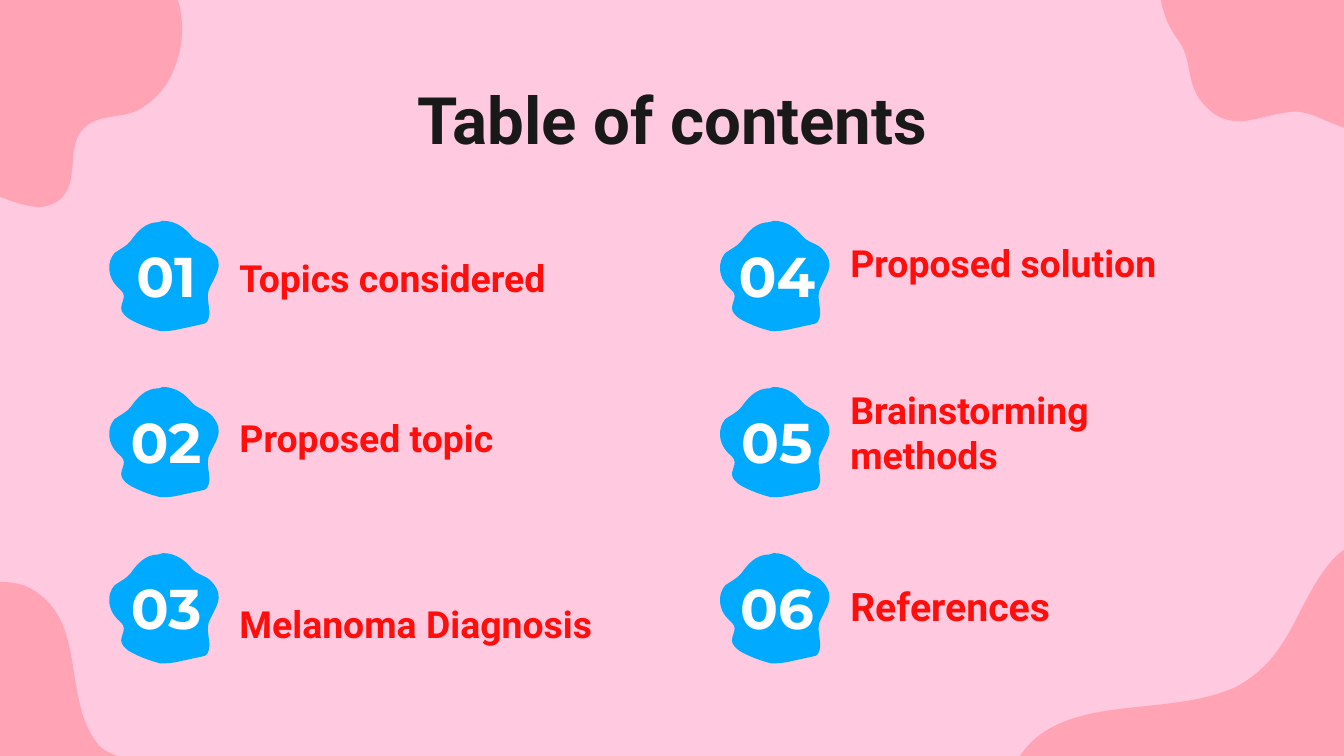
from lxml import etree
from pptx import Presentation
from pptx.dml.color import RGBColor
from pptx.enum.text import MSO_ANCHOR, PP_ALIGN
from pptx.oxml.ns import qn
from pptx.util import Pt

LEFT, CENTER = PP_ALIGN.LEFT, PP_ALIGN.CENTER
TOP, MIDDLE, BOTTOM = MSO_ANCHOR.TOP, MSO_ANCHOR.MIDDLE, MSO_ANCHOR.BOTTOM

PINK = RGBColor(0xFF, 0xC9, 0xE0)
RED = RGBColor(0xFF, 0x0E, 0x0B)
BLUE = RGBColor(0x00, 0xAB, 0xFF)
WHITE = RGBColor(0xFF, 0xFF, 0xFF)
INK = RGBColor(0x19, 0x19, 0x19)

OUTLINE_UNIT = Pt(0.72)
COLUMN_PITCH, ROW_PITCH = 327.2, 89

# Outlines: a start point, then one row per Bezier curve (two controls, end).
TOP_RIGHT = (865, -27), [
    (866, -29, 866, -31, 867, -33), (876, -57, 894, -65, 914, -73),
    (925, -77, 932, -88, 942, -94), (961, -105, 988, -95, 998, -75),
    (1002, -69, 1005, -61, 1011, -58), (1018, -56, 1026, -59, 1033, -58),
    (1041, -55, 1046, -46, 1048, -38), (1053, -19, 1055, 1, 1053, 21),
    (1053, 23, 1052, 25, 1051, 28), (1049, 38, 1044, 49, 1039, 59),
    (1039, 59, 1024, 88, 1024, 88), (1023, 92, 1020, 95, 1016, 96),
    (998, 100, 981, 83, 963, 83), (935, 85, 914, 103, 892, 73),
    (882, 57, 887, 43, 876, 29), (867, 17, 859, -4, 865, -27),
]
BOTTOM_LEFT = (1, 433), [
    (7, 433, 13, 434, 19, 436), (68, 459, 44, 520, 74, 555),
    (88, 571, 204, 587, 156, 620), (133, 635, 103, 630, 79, 641),
    (68, 646, 58, 654, 45, 656), (43, 657, 40, 657, 38, 657),
    (19, 657, 2, 644, -12, 631), (-29, 616, -46, 599, -68, 598),
    (-85, 598, -101, 608, -117, 608), (-119, 608, -122, 608, -125, 607),
    (-151, 601, -159, 564, -146, 541), (-132, 519, -104, 508, -78, 503),
    (-66, 501, -55, 499, -48, 490), (-39, 480, -41, 466, -36, 455),
    (-31, 440, -15, 433, 1, 433),
]
TOP_LEFT = (31, -103), [
    (31, -103, 32, -103, 32, -103), (37, -103, 41, -100, 44, -96),
    (53, -86, 53, -72, 51, -58), (50, -46, 48, -32, 53, -19),
    (57, -10, 67, -3, 76, -3), (80, -3, 83, -4, 86, -6),
    (95, -13, 98, -28, 109, -28), (114, -28, 118, -25, 120, -22),
    (146, 6, 138, 61, 106, 80), (91, 90, 73, 83, 61, 97),
    (49, 111, 60, 136, 44, 149), (40, 152, 35, 154, 29, 154),
    (21, 154, 12, 151, 4, 148), (1, 147, -3, 145, -5, 142),
    (-10, 136, -8, 128, -6, 121), (-1, 104, -4, 83, -19, 73),
    (-32, 63, -51, 64, -63, 53), (-73, 44, -75, 28, -71, 15),
    (-66, -3, -50, -16, -32, -19), (-14, -23, 9, -19, 18, -34),
    (25, -46, 19, -60, 16, -73), (13, -85, 19, -103, 31, -103),
]
BOTTOM_RIGHT = (1010, 403), [
    (1038, 389, 1073, 397, 1080, 433), (1085, 461, 1057, 471, 1050, 494),
    (1029, 567, 1138, 562, 1101, 623), (1093, 636, 1082, 645, 1069, 651),
    (1057, 657, 1044, 661, 1031, 663), (1007, 669, 981, 671, 958, 682),
    (956, 683, 954, 684, 952, 685), (915, 707, 895, 754, 859, 772),
    (853, 775, 847, 777, 841, 778), (834, 779, 827, 779, 821, 774),
    (817, 771, 815, 767, 813, 763), (799, 738, 786, 712, 773, 686),
    (753, 646, 733, 597, 760, 561), (767, 551, 775, 545, 785, 540),
    (823, 521, 879, 530, 920, 511), (927, 507, 933, 503, 938, 498),
    (963, 476, 970, 439, 993, 415), (998, 410, 1004, 406, 1010, 403),
]
BADGE = (42, 0), [
    (41, 0, 40, 0, 39, 1), (29, 1, 23, 8, 18, 15),
    (15, 19, 10, 21, 6, 24), (0, 31, 1, 42, 8, 49),
    (10, 51, 13, 53, 13, 56), (13, 59, 11, 62, 11, 65),
    (11, 68, 14, 71, 17, 73), (24, 77, 32, 80, 40, 82),
    (41, 82, 42, 82, 44, 82), (48, 82, 53, 81, 57, 80),
    (57, 80, 71, 77, 71, 77), (73, 77, 74, 76, 75, 75),
    (79, 68, 74, 60, 76, 52), (80, 41, 89, 34, 79, 22),
    (74, 16, 68, 17, 63, 11), (59, 6, 52, 0, 42, 0),
]

# Topic, top, width, height, font size; down the first column, then the second.
TOPICS = [
    ("Topics considered", 135.4, 214.6, 32.4, 20),
    ("Proposed topic", 221, 214.6, 32.4, 20),
    ("Melanoma Diagnosis", 298.1, 231, 55.4, 20),
    ("Proposed solution", 127.4, 214.6, 32.4, 20),
    ("Brainstorming methods", 207.4, 214.6, 55.4, 20),
    ("References", 311.8, 214.6, 32.4, 21),
]


class ContentsSlide:
    def __init__(self, deck):
        self.slide = deck.slides.add_slide(deck.slide_layouts[6])
        background = self.slide.background.fill
        background.solid()
        background.fore_color.rgb = PINK

    def splash(self, outline, color, left=0, top=0, opacity=None):
        """Draw a closed outline of Bezier curves, moved by left and top."""
        start, curves = outline
        builder = self.slide.shapes.build_freeform(*start, scale=OUTLINE_UNIT)
        builder.add_line_segments(
            [row[i:i + 2] for row in curves for i in (0, 2, 4)], close=True)
        splash = builder.convert_to_shape(Pt(left), Pt(top))
        splash.shadow.inherit = False
        splash.fill.solid()
        splash.fill.fore_color.rgb = color
        splash.line.fill.background()

        # Every three straight segments become one cubic curve.
        segments = list(splash.element.iter(qn("a:lnTo")))
        for i in range(0, len(segments), 3):
            curve = etree.Element(qn("a:cubicBezTo"))
            segments[i].addprevious(curve)
            for segment in segments[i:i + 3]:
                curve.append(segment[0])
                segment.getparent().remove(segment)
        if opacity is not None:
            rgb = splash.element.spPr.find(qn("a:solidFill"))[0]
            etree.SubElement(rgb, qn("a:alpha"), val=str(opacity * 1000))

    def text(self, words, left, top, width, height, size, color,
             font="Roboto", align=LEFT, anchor=BOTTOM):
        box = self.slide.shapes.add_textbox(
            Pt(left), Pt(top), Pt(width), Pt(height))
        frame = box.text_frame
        layout = {"word_wrap": True, "vertical_anchor": anchor}
        for side in ("left", "top", "right", "bottom"):
            layout[f"margin_{side}"] = Pt(7.2)
        for name, value in layout.items():
            setattr(frame, name, value)
        paragraph = frame.paragraphs[0]
        paragraph.alignment = align
        run = paragraph.add_run()
        run.text = words
        for name, value in {"name": font, "size": Pt(size), "bold": True}.items():
            setattr(run.font, name, value)
        run.font.color.rgb = color


def main():
    deck = Presentation()
    deck.slide_width, deck.slide_height = Pt(720), Pt(405)
    contents = ContentsSlide(deck)

    for corner in (TOP_RIGHT, BOTTOM_LEFT, TOP_LEFT, BOTTOM_RIGHT):
        contents.splash(corner, RED, opacity=20)

    contents.text("Table of contents", 57, 35.3, 607, 45.4, 35, INK,
                  align=CENTER, anchor=TOP)

    for index, (topic, top, width, height, size) in enumerate(TOPICS):
        column, row = divmod(index, 3)
        shift, drop = column * COLUMN_PITCH, row * ROW_PITCH
        contents.splash(BADGE, BLUE, 57 + shift, 118.3 + drop)
        contents.text(f"{index + 1:02d}", 57 + shift, 133.4 + drop, 64, 28,
                      30, WHITE, "Montserrat", CENTER, MIDDLE)
        contents.text(topic, 121.2 + shift, top, width, height, size, RED)

    deck.save("out.pptx")


if __name__ == "__main__":
    main()
